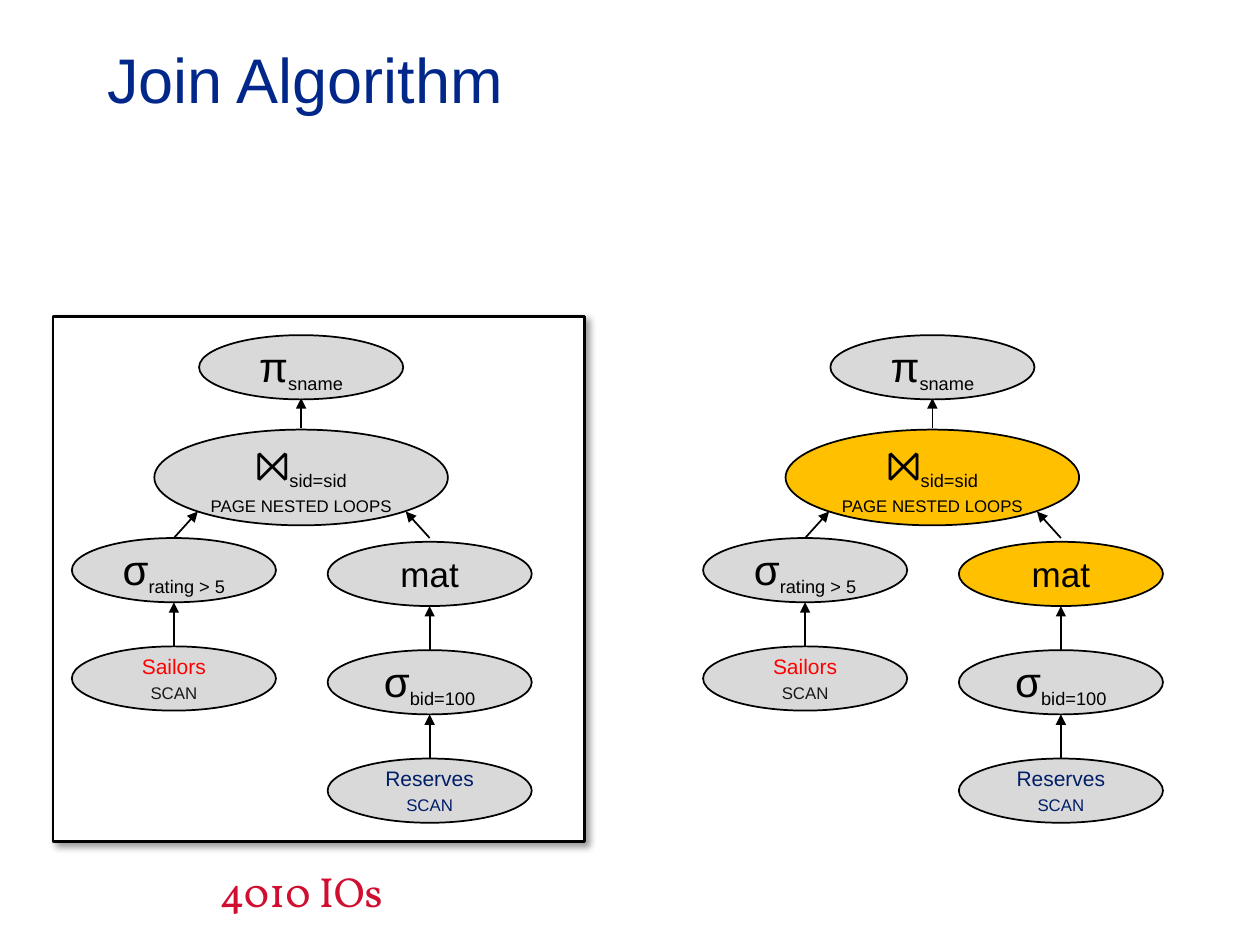
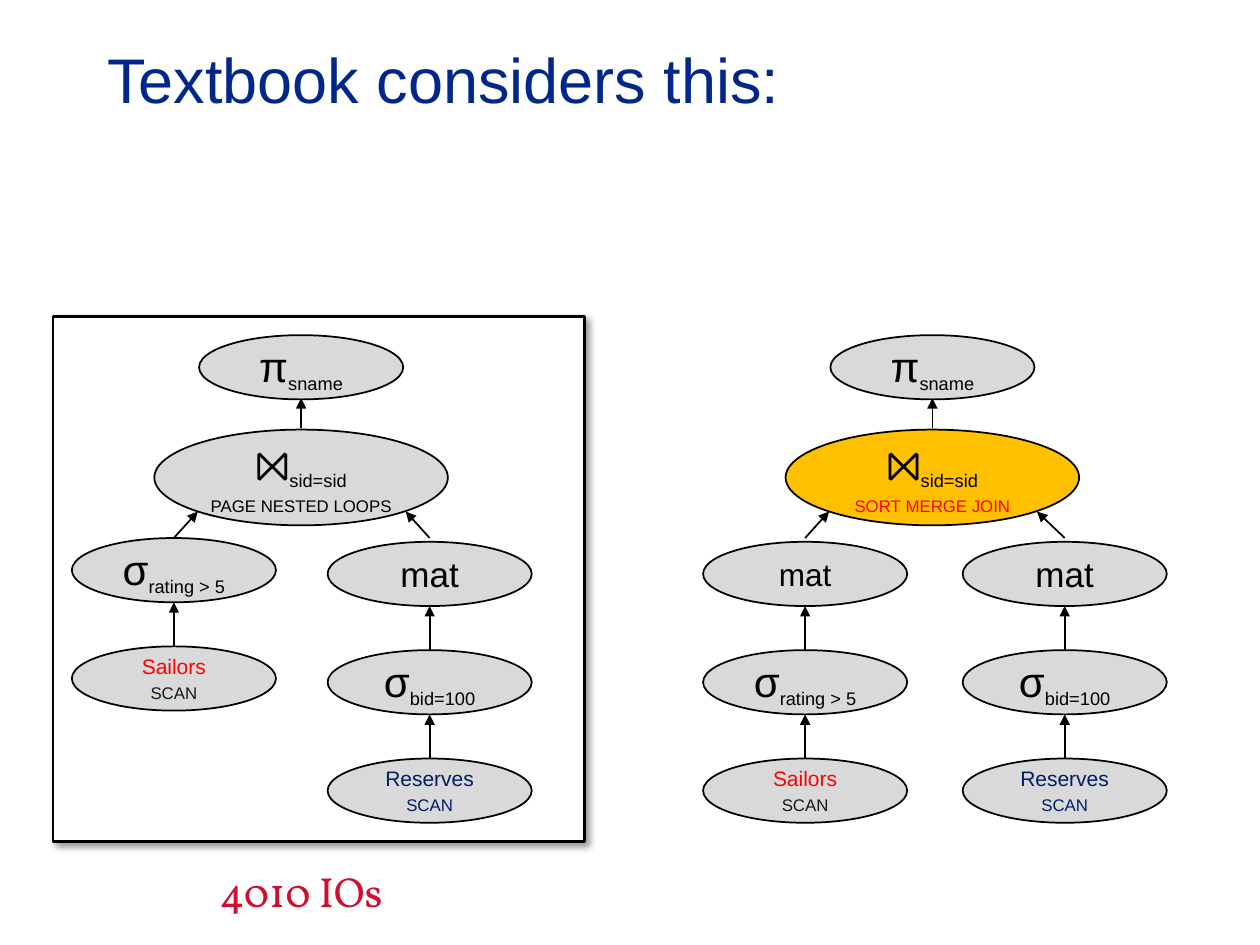
from lxml import etree
from pptx import Presentation
from pptx.dml.color import RGBColor
from pptx.enum.shapes import MSO_CONNECTOR, MSO_SHAPE
from pptx.enum.text import MSO_ANCHOR, MSO_AUTO_SIZE, PP_ALIGN
from pptx.oxml import parse_xml
from pptx.oxml.ns import qn
from pptx.util import Inches, Pt

OVAL, RECT = MSO_SHAPE.OVAL, MSO_SHAPE.RECTANGLE
LINE = MSO_CONNECTOR.STRAIGHT
MIDDLE = MSO_ANCHOR.MIDDLE
LEFT, CENTER = PP_ALIGN.LEFT, PP_ALIGN.CENTER
FIXED = MSO_AUTO_SIZE.NONE

BLACK = RGBColor(0x00, 0x00, 0x00)
WHITE = RGBColor(0xFF, 0xFF, 0xFF)
GRAY = RGBColor(0xD9, 0xD9, 0xD9)
GOLD = RGBColor(0xFF, 0xC0, 0x00)
RED = RGBColor(0xFF, 0x00, 0x00)
INK = RGBColor(0x18, 0x18, 0x18)
NAVY = RGBColor(0x00, 0x1D, 0x67)
BLUE = RGBColor(0x00, 0x27, 0x89)
CRIMSON = RGBColor(0xCF, 0x0E, 0x30)

SUB = {"baseline": "-25000"}
SMALL = {"cap": "small"}
WIDTH, HEIGHT = 1.62, 0.51
STEP = 0.86
SHADOW = (
    '<a:effectLst xmlns:a="http://schemas.openxmlformats.org/drawingml/2006/main">'
    '<a:outerShdw blurRad="50800" dist="38100" dir="2700000" algn="tl" rotWithShape="0">'
    '<a:srgbClr val="000000"><a:alpha val="40000"/></a:srgbClr>'
    '</a:outerShdw></a:effectLst>'
)


def symbol(sign, note):
    return [[(sign, 24, BLACK, {}), (note, 18, BLACK, SUB)]]


def table(name, tint, shade):
    return [[(name, 12, tint, {})], [("scan", 12, shade, SMALL)]]


def mat(size=20):
    return [[("mat", size, BLACK, {})]]


def join(method, tint=BLACK):
    return [symbol("⨝", "sid=sid")[0] + [("\n", 18, BLACK, {}), (method, 12, tint, SMALL)]]


PROJECT = symbol("π", "sname")
RATING = symbol("σ", "rating > 5")
BOAT = symbol("σ", "bid=100")
SAILORS = table("Sailors", RED, INK)
RESERVES = table("Reserves", NAVY, NAVY)
NESTED = join("page nested loops")
MERGE = join("sort merge join", RED)


class Deck:
    def __init__(self):
        self.show = Presentation()
        self.show.slide_width = Inches(10)
        self.show.slide_height = Inches(7.5)
        self.slide = None

    def start(self, title):
        self.slide = self.show.slides.add_slide(self.show.slide_layouts[5])
        head = self.slide.shapes.title
        head.left, head.top = Inches(0.75), Inches(0)
        head.width, head.height = Inches(8.5), Inches(1.25)
        frame = head.text_frame
        frame.vertical_anchor = MIDDLE
        frame.auto_size = FIXED
        self.label(frame, [[(title, 36, BLUE, {})]], LEFT)

    def label(self, frame, lines, align=CENTER, font="Arial"):
        for i, line in enumerate(lines):
            para = frame.paragraphs[0] if i == 0 else frame.add_paragraph()
            para.alignment = align
            for text, size, tint, marks in line:
                if text == "\n":
                    para.add_line_break()
                    continue
                run = para.add_run()
                run.text = text
                run.font.size = Pt(size)
                run.font.name = font
                run.font.color.rgb = tint
                for key, value in marks.items():
                    run.font._element.set(key, value)

    def shape(self, kind, x, y, w, h, fill, weight):
        box = self.slide.shapes.add_shape(kind, Inches(x), Inches(y), Inches(w), Inches(h))
        box.shadow.inherit = False
        box.fill.solid()
        box.fill.fore_color.rgb = fill
        box.line.color.rgb = BLACK
        box.line.width = Pt(weight)
        return box

    def panel(self):
        box = self.shape(RECT, 0.42, 2.51, 4.22, 4.17, WHITE, 1.5)
        props = box._element.spPr
        props.replace(props.find(qn("a:effectLst")), parse_xml(SHADOW))

    def node(self, mid, top, lines, fill=GRAY, w=WIDTH, h=HEIGHT):
        frame = self.shape(OVAL, mid - w / 2, top, w, h, fill, 1).text_frame
        frame.margin_left = frame.margin_right = 0
        frame.margin_top = frame.margin_bottom = 0
        frame.word_wrap = True
        frame.vertical_anchor = MIDDLE
        self.label(frame, lines)

    def arrow(self, x1, y1, x2, y2):
        link = self.slide.shapes.add_connector(LINE, Inches(x1), Inches(y1), Inches(x2), Inches(y2))
        link.line.color.rgb = BLACK
        link.line.width = Pt(1)
        props = link._element.spPr
        etree.SubElement(props.find(qn("a:ln")), qn("a:tailEnd"), type="triangle")
        etree.SubElement(props, qn("a:effectLst"))

    def branch(self, mid, top, items, fill=GRAY):
        for i, lines in enumerate(items):
            y = top + i * STEP
            self.node(mid, y, lines, GRAY if i else fill)
            if i:
                self.arrow(mid, y, mid, y - STEP + HEIGHT)

    def tree(self, mid, method, left, right, tint=GRAY, top=4.27, gap=1.02, fill=GRAY):
        west, east = mid - 1.01, mid + gap
        self.node(mid, 2.66, PROJECT)
        self.node(mid, 3.41, method, tint, 2.33, 0.76)
        self.arrow(mid, 3.4, mid, 3.16)
        self.branch(west, top, left)
        self.branch(east, 4.3, right, fill)
        self.arrow(west, 4.27, mid - 0.82, 4.06)
        self.arrow(east, 4.27, mid + 0.83, 4.06)

    def cost(self, text):
        box = self.slide.shapes.add_textbox(Inches(1.35), Inches(6.82), Inches(2.08), Inches(0.5))
        frame = box.text_frame
        frame.word_wrap = False
        frame.vertical_anchor = MIDDLE
        self.label(frame, [[(text, 24, CRIMSON, {})]], font="Vollkorn")

    def base(self, title):
        self.start(title)
        self.panel()
        self.tree(2.39, NESTED, [RATING, SAILORS], [mat(), BOAT, RESERVES])
        self.cost("4010 IOs")


deck = Deck()

deck.base("Join Algorithm")
deck.tree(7.4, NESTED, [RATING, SAILORS], [mat(), BOAT, RESERVES], GOLD, fill=GOLD)

deck.base("Textbook considers this:")
deck.tree(7.4, MERGE, [mat(18), RATING, SAILORS], [mat(), BOAT, RESERVES], GOLD, top=4.3, gap=1.05)

deck.show.save("out.pptx")
